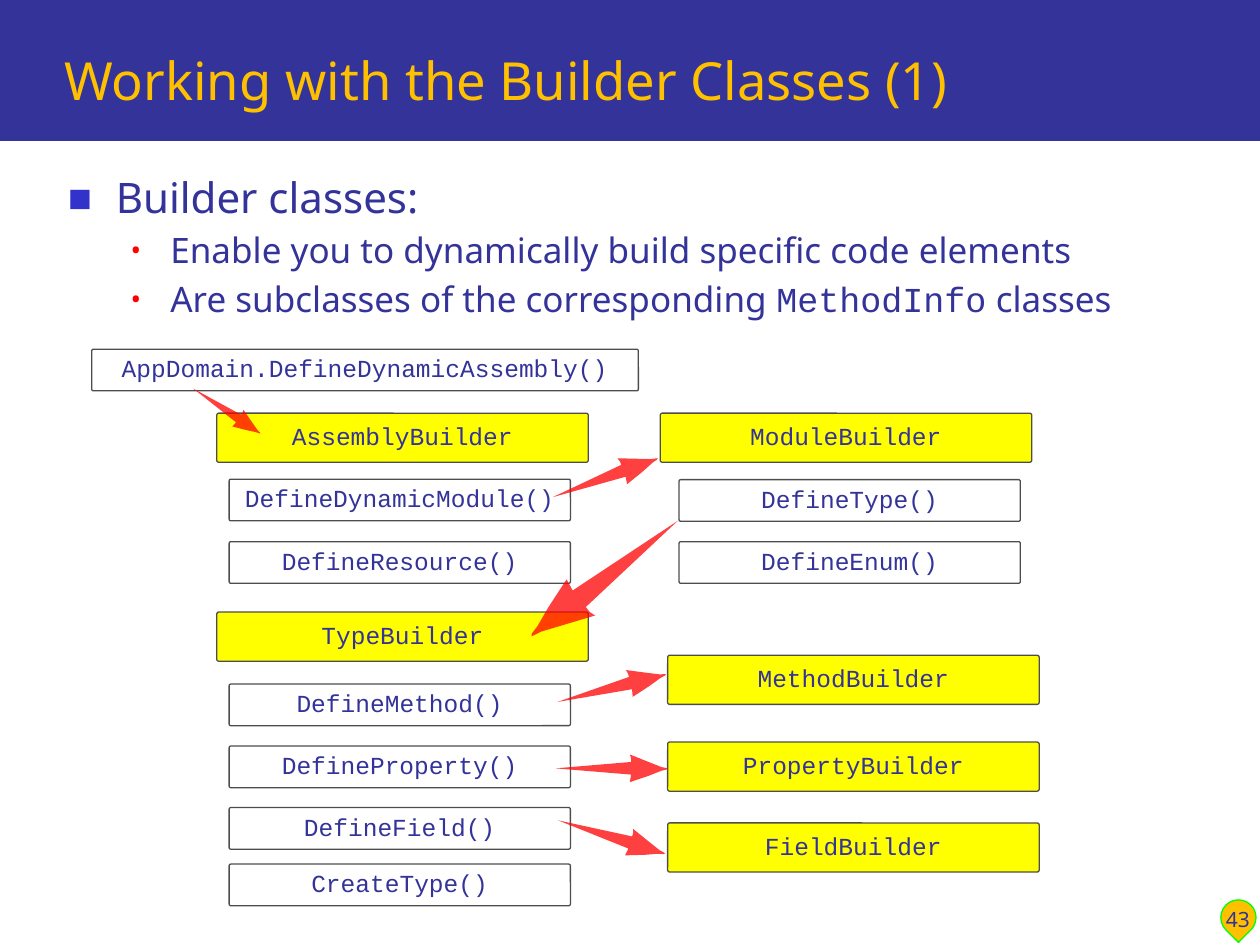
from lxml.etree import SubElement
from pptx import Presentation
from pptx.dml.color import RGBColor
from pptx.enum.shapes import MSO_SHAPE as Preset
from pptx.enum.text import MSO_ANCHOR as Anchor, MSO_AUTO_SIZE as AutoSize, PP_ALIGN as Align
from pptx.oxml.ns import qn
from pptx.util import Cm, Pt
from dataclasses import dataclass


@dataclass(frozen=True)
class Theme:
    navy: str = "333399"
    gold: str = "FFC000"
    yellow: str = "FFFF00"
    white: str = "FFFFFF"
    gray: str = "4D4D4D"
    green: str = "00FF00"
    red: str = "FF0000"
    bullet_blue: str = "3333CC"
    text_font: str = "Noto Sans"
    code_font: str = "Courier New"
    title_size: int = 30
    lead_size: int = 24
    point_size: int = 20
    code_size: int = 14
    number_size: int = 12


theme = Theme()

TITLE = "Working with the Builder Classes (1)"
PAGE_NUMBER = "43"
BULLETS = [
    (0, [("Builder classes:", theme.text_font)]),
    (1, [("Enable you to dynamically build specific code elements", theme.text_font)]),
    (1, [("Are subclasses of the corresponding ", theme.text_font),
         ("MethodInfo", theme.code_font),
         (" classes", theme.text_font)]),
]
LEVELS = [
    (theme.lead_size, 0.96, -0.96, "■", theme.bullet_blue, 60),
    (theme.point_size, 2.06, -0.8, "•", theme.red, 80),
]

BUILDER_SIZE = (7.49, 0.99)
METHOD_SIZE = (6.88, 0.84)
ENTRY_SIZE = (11.02, 0.84)
BOX_COLUMNS = [
    (theme.yellow, BUILDER_SIZE, 4.37, [("AssemblyBuilder", 8.33), ("TypeBuilder", 12.34)]),
    (theme.yellow, BUILDER_SIZE, 13.31, [("ModuleBuilder", 8.33)]),
    (theme.yellow, BUILDER_SIZE, 13.46, [
        ("MethodBuilder", 13.21), ("PropertyBuilder", 14.96), ("FieldBuilder", 16.59)]),
    (theme.white, METHOD_SIZE, 4.62, [
        ("DefineDynamicModule()", 9.66), ("DefineResource()", 10.92),
        ("DefineMethod()", 13.79), ("DefineProperty()", 15.04),
        ("DefineField()", 16.28), ("CreateType()", 17.42)]),
    (theme.white, METHOD_SIZE, 13.69, [("DefineType()", 9.67), ("DefineEnum()", 10.92)]),
    (theme.white, ENTRY_SIZE, 1.85, [("AppDomain.DefineDynamicAssembly()", 7.04)]),
]

ARROW_OUTLINE = [
    (0, 124), (674, 67), (674, 34), (663, 0), (830, 67), (944, 112), (1000, 124),
    (989, 135), (944, 146), (830, 191), (663, 247), (674, 180),
]
ARROWS = [
    (11.07, 9.35, 2.26, 339.6),
    (11.2, 15.21, 2.26, 0),
    (11.2, 16.59, 2.26, 17.1),
    (11.2, 13.59, 2.26, 345.6),
    (10.31, 11.2, 3.76, 141.7),
    (3.76, 8.08, 1.63, 33.5),
]


def color(value):
    return RGBColor.from_string(value)


def style(font, size, value, name=theme.text_font):
    font.size = Pt(size)
    font.name = name
    font.color.rgb = color(value)


def paint(shape, fill, line=None):
    shape.shadow.inherit = False
    shape.fill.solid()
    shape.fill.fore_color.rgb = color(fill)
    if line:
        shape.line.color.rgb = color(line)
        shape.line.width = Pt(0.75)
    else:
        shape.line.fill.background()


def place(shape, left, top, width, height):
    shape.left, shape.top, shape.width, shape.height = map(Cm, (left, top, width, height))


def add_preset(preset, fill, line, *box):
    shape = slide.shapes.add_shape(preset, *map(Cm, box))
    paint(shape, fill, line)
    return shape


def set_bullet(paragraph, margin, indent, character, value, percent):
    properties = paragraph._p.get_or_add_pPr()
    properties.set("marL", str(Cm(margin)))
    properties.set("indent", str(Cm(indent)))
    SubElement(SubElement(properties, qn("a:buClr")), qn("a:srgbClr"), val=value)
    SubElement(properties, qn("a:buSzPct"), val=str(percent * 1000))
    SubElement(properties, qn("a:buFont"), typeface=theme.text_font)
    SubElement(properties, qn("a:buChar"), char=character)


def add_code_box(text, fill, *box):
    shape = add_preset(Preset.ROUNDED_RECTANGLE, fill, theme.gray, *box)
    shape.adjustments[0] = 0.042
    frame = shape.text_frame
    frame.vertical_anchor = Anchor.MIDDLE
    frame.word_wrap = False
    paragraph = frame.paragraphs[0]
    paragraph.text = text
    paragraph.alignment = Align.CENTER
    paragraph.line_spacing = 0.9
    style(paragraph.font, theme.code_size, theme.navy, theme.code_font)


def add_arrow(left, top, length, angle):
    builder = slide.shapes.build_freeform(*ARROW_OUTLINE[0], scale=Cm(length) / 1000)
    builder.add_line_segments(ARROW_OUTLINE[1:], close=True)
    arrow = builder.convert_to_shape(Cm(left), Cm(top))
    paint(arrow, theme.red)
    arrow.rotation = angle
    fill_color = arrow._element.spPr.find(qn("a:solidFill"))[0]
    SubElement(fill_color, qn("a:alpha"), val="75000")


presentation = Presentation()
presentation.slide_width, presentation.slide_height = Cm(25.4), Cm(19.05)
slide = presentation.slides.add_slide(presentation.slide_layouts[1])

banner = add_preset(Preset.RECTANGLE, theme.navy, None, 0, 0, 25.4, 2.84)
marker = add_preset(Preset.TEAR, theme.gold, theme.green, 24.61, 18.14, 0.71, 0.71)
marker.rotation = 134.9
for position, shape in enumerate((banner, marker), start=2):
    slide.shapes._spTree.insert(position, shape._element)

title = slide.shapes.title
place(title, 1.04, 0.43, 23.75, 1.93)
title.text_frame.text = TITLE
title.text_frame.vertical_anchor = Anchor.BOTTOM
title.text_frame.auto_size = AutoSize.NONE
heading = title.text_frame.paragraphs[0]
heading.alignment = Align.LEFT
style(heading.font, theme.title_size, theme.gold)

body = slide.placeholders[1]
place(body, 1.12, 3.33, 23.57, 13.72)
body.text_frame.auto_size = AutoSize.NONE
for index, (level, runs) in enumerate(BULLETS):
    paragraph = body.text_frame.add_paragraph() if index else body.text_frame.paragraphs[0]
    paragraph.level = level
    size, *bullet = LEVELS[level]
    set_bullet(paragraph, *bullet)
    for text, name in runs:
        run = paragraph.add_run()
        run.text = text
        style(run.font, size, theme.navy, name)

number = slide.shapes.add_textbox(*map(Cm, (24.23, 17.63, 1.45, 1.27)))
number.text_frame.word_wrap = True
number.text_frame.vertical_anchor = Anchor.BOTTOM
number_line = number.text_frame.paragraphs[0]
number_line.text = PAGE_NUMBER
number_line.alignment = Align.CENTER
style(number_line.font, theme.number_size, theme.navy)

for fill, size, left, boxes in BOX_COLUMNS:
    for text, top in boxes:
        add_code_box(text, fill, left, top, *size)
for arrow_place in ARROWS:
    add_arrow(*arrow_place)

presentation.save("out.pptx")
